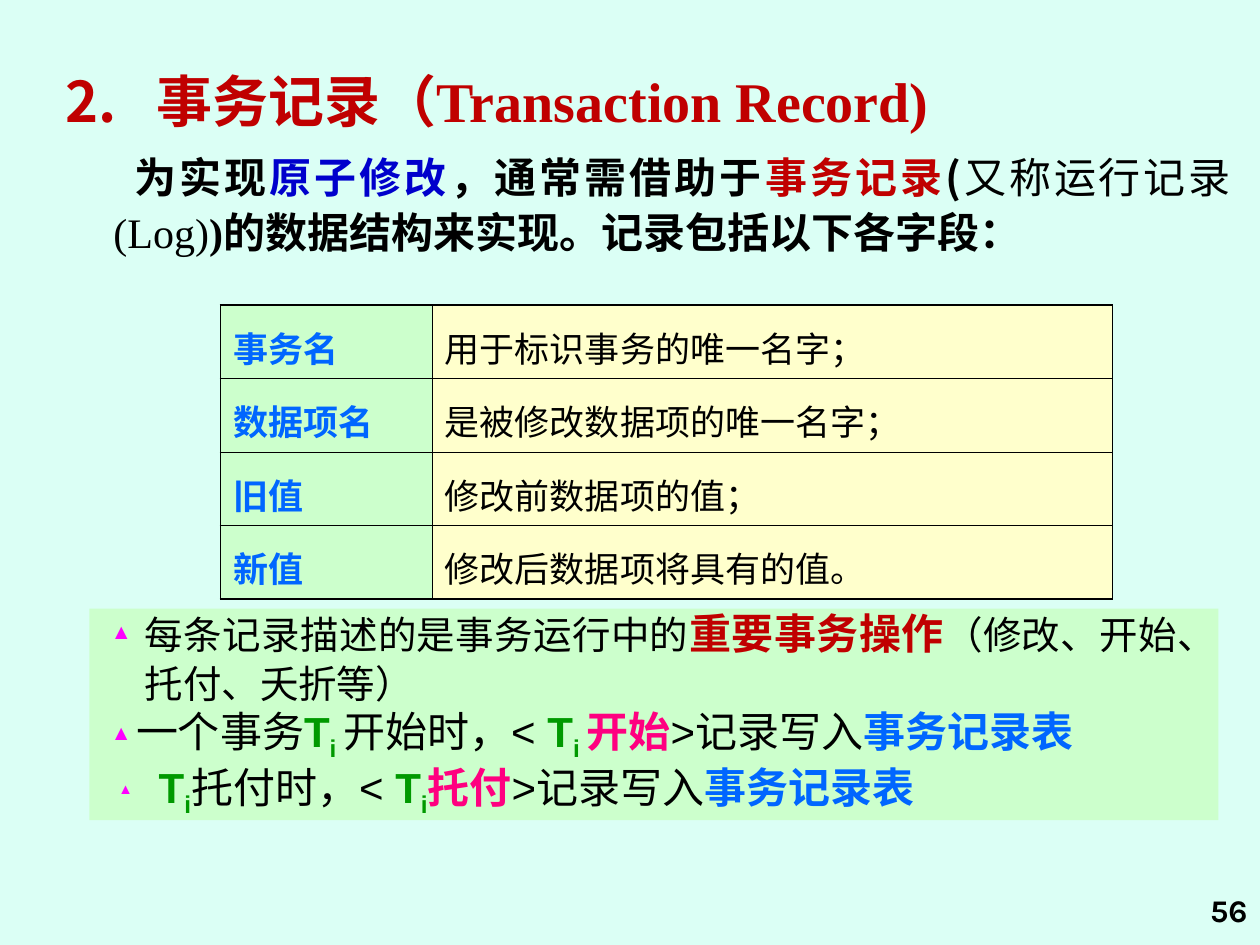
import pptx
import pptx.util
from pptx.dml.color import RGBColor
from pptx.enum.shapes import MSO_SHAPE
from pptx.enum.text import MSO_ANCHOR, MSO_AUTO_SIZE, PP_ALIGN
from pptx.oxml.ns import qn
from lxml import etree

Inches, Pt = pptx.util.Inches, pptx.util.Pt

CJK, SERIF, SANS = "Noto Sans CJK SC", "Times New Roman", "Arial"
BLACK, RED, BLUE, NAVY = "000000", "C00000", "0066FF", "0000CC"
GREEN, PINK, MAGENTA = "009900", "FF0080", "FF00FF"
MINT, CREAM, BACKGROUND = "CCFFCC", "FFFFCC", "DBFFF5"

FIELDS = [
    ("事务名", "用于标识事务的唯一名字；"),
    ("数据项名", "是被修改数据项的唯一名字；"),
    ("旧值", "修改前数据项的值；"),
    ("新值", "修改后数据项将具有的值。"),
]


def rgb(value):
    return RGBColor.from_string(value)


def add_run(p, text, size, color=BLACK, bold=False, font=CJK, sub=False):
    r = p.add_run()
    r.text = text
    r.font.size, r.font.bold, r.font.name = Pt(size), bold, font
    r.font.color.rgb = rgb(color)
    rPr = r.font._element
    if sub:
        rPr.set("baseline", "-25000")
    ea = etree.Element(qn("a:ea"), typeface=CJK)
    rPr.find(qn("a:latin")).addnext(ea)


def set_indent(p, left, first, bullet_size=None):
    """Set the margin and first-line indent, with a triangle bullet if sized in percent."""
    pPr = p._p.get_or_add_pPr()
    pPr.set("marL", str(Inches(left)))
    pPr.set("indent", str(Inches(first)))
    if bullet_size is None:
        etree.SubElement(pPr, qn("a:buNone"))
        return
    color = etree.SubElement(pPr, qn("a:buClr"))
    etree.SubElement(color, qn("a:srgbClr"), val=MAGENTA)
    etree.SubElement(pPr, qn("a:buSzPct"), val=str(bullet_size * 1000))
    etree.SubElement(pPr, qn("a:buFont"), typeface=SERIF)
    etree.SubElement(pPr, qn("a:buChar"), char="▲")


def setup_text(sp, anchor=MSO_ANCHOR.TOP):
    tf = sp.text_frame
    tf.word_wrap, tf.auto_size = True, MSO_AUTO_SIZE.NONE
    tf.vertical_anchor = anchor
    tf.margin_left = tf.margin_right = Inches(0.02)
    tf.margin_top = tf.margin_bottom = 0
    return tf


def place(sp, left, top, width, height):
    sp.left, sp.top, sp.width, sp.height = map(Inches, (left, top, width, height))


def fill_title(sp):
    place(sp, 0.5, 0.53, 9.29, 0.64)
    p = setup_text(sp).paragraphs[0]
    p.alignment = PP_ALIGN.LEFT
    set_indent(p, 0.72, -0.72)
    add_run(p, "2.\t事务记录", 32, RED, True)
    add_run(p, "（Transaction Record)", 32, RED, True, SERIF)


def fill_intro(sp):
    place(sp, 0.5, 1.17, 9.29, 1.1)
    p = setup_text(sp).paragraphs[0]
    p.alignment = PP_ALIGN.JUSTIFY
    p.line_spacing, p.space_before = 1.09, Pt(0)
    set_indent(p, 0.38, 0.17)
    add_run(p, "为实现", 24, bold=True)
    add_run(p, "原子修改", 24, NAVY, True)
    add_run(p, "，通常需借助于", 24, bold=True)
    add_run(p, "事务记录", 24, RED, True)
    add_run(p, "(", 24, bold=True)
    add_run(p, "又称运行记录", 24)
    add_run(p, "(Log)", 24, font=SERIF)
    add_run(p, ")", 24, bold=True, font=SERIF)
    add_run(p, "的数据结构来实现。记录包括以下各字段：", 24, bold=True)


def set_borders(cell, outer):
    """Draw all four borders, thicker on the sides named in outer."""
    tcPr = cell._tc.get_or_add_tcPr()
    for i, side in enumerate("LRTB"):
        width = Pt(1.08 if side in outer else 0.45)
        ln = etree.Element(qn("a:ln" + side), w=str(int(width)))
        solid = etree.SubElement(ln, qn("a:solidFill"))
        etree.SubElement(solid, qn("a:srgbClr"), val=BLACK)
        tcPr.insert(i, ln)


def add_field_table(s):
    rows, row_height = len(FIELDS), 0.58
    frame = s.shapes.add_table(rows, 2, Inches(1.75), Inches(2.42),
                               Inches(7.08), Inches(rows * row_height))
    table = frame.table
    table.first_row = table.horz_banding = False
    for column, width in zip(table.columns, (1.68, 5.4)):
        column.width = Inches(width)
    for i, texts in enumerate(FIELDS):
        edge = "T" if i == 0 else "B" if i == rows - 1 else ""
        styles = ((MINT, BLUE, True, "L"), (CREAM, BLACK, False, "R"))
        for j, (fill, color, bold, side) in enumerate(styles):
            cell = table.cell(i, j)
            cell.fill.solid()
            cell.fill.fore_color.rgb = rgb(fill)
            set_borders(cell, edge + side)
            p = cell.text_frame.paragraphs[0]
            p.line_spacing = 1.2
            add_run(p, texts[j], 20, color, bold)


def add_transaction(p, gap=""):
    """Add the symbol T with subscript i."""
    add_run(p, "T", 24, GREEN, True, SANS)
    add_run(p, "i" + gap, 24, GREEN, True, SANS, sub=True)


def add_log_entry(p, moment, action, gap=""):
    add_transaction(p, gap)
    add_run(p, moment + "时，< ", 24, font=SANS)
    add_transaction(p, gap)
    add_run(p, action, 24, PINK, True)
    add_run(p, ">记录写入", 24, font=SANS)
    add_run(p, "事务记录表", 24, BLUE, True, SANS)


def add_notes_panel(s):
    sp = s.shapes.add_shape(MSO_SHAPE.RECTANGLE, 0, 0, 0, 0)
    place(sp, 0.71, 4.83, 8.96, 1.68)
    sp.shadow.inherit = False
    sp.fill.solid()
    sp.fill.fore_color.rgb = rgb(MINT)
    sp.line.fill.background()
    tf = setup_text(sp)
    layout = ((0.42, 0.15, 55, 28), (0.35, 0.15, 50, 32), (0.53, 0.21, 35, 32))
    paragraphs = [tf.paragraphs[0], tf.add_paragraph(), tf.add_paragraph()]
    for p, (left, bullet, size, spacing) in zip(paragraphs, layout):
        p.alignment, p.line_spacing = PP_ALIGN.LEFT, Pt(spacing)
        set_indent(p, left, bullet - left, size)
    record, start, commit = paragraphs
    record.alignment = PP_ALIGN.JUSTIFY
    add_run(record, "每条记录描述的是事务运行中的", 22, font=SERIF)
    add_run(record, "重要事务操作", 24, RED, True)
    add_run(record, "（修改、开始、托付、夭折等）", 22, font=SERIF)
    add_run(start, "一个事务", 24, font=SANS)
    add_log_entry(start, "开始", "开始", gap=" ")
    add_log_entry(commit, "托付", "托付")


def add_page_number(s, number):
    sp = s.shapes.add_textbox(0, 0, 0, 0)
    place(sp, 9, 6.92, 1, 0.5)
    tf = setup_text(sp, MSO_ANCHOR.BOTTOM)
    tf.margin_right, tf.margin_bottom = Inches(0.1), Inches(0.05)
    p = tf.paragraphs[0]
    p.alignment = PP_ALIGN.RIGHT
    add_run(p, number, 18, bold=True, font="Karla")


def main():
    prs = pptx.Presentation()
    prs.slide_width, prs.slide_height = Inches(10), Inches(7.5)
    s = prs.slides.add_slide(prs.slide_layouts[1])
    s.background.fill.solid()
    s.background.fill.fore_color.rgb = rgb(BACKGROUND)
    fill_title(s.shapes.title)
    fill_intro(s.placeholders[1])
    add_field_table(s)
    add_notes_panel(s)
    add_page_number(s, "56")
    prs.save("out.pptx")


if __name__ == "__main__":
    main()
